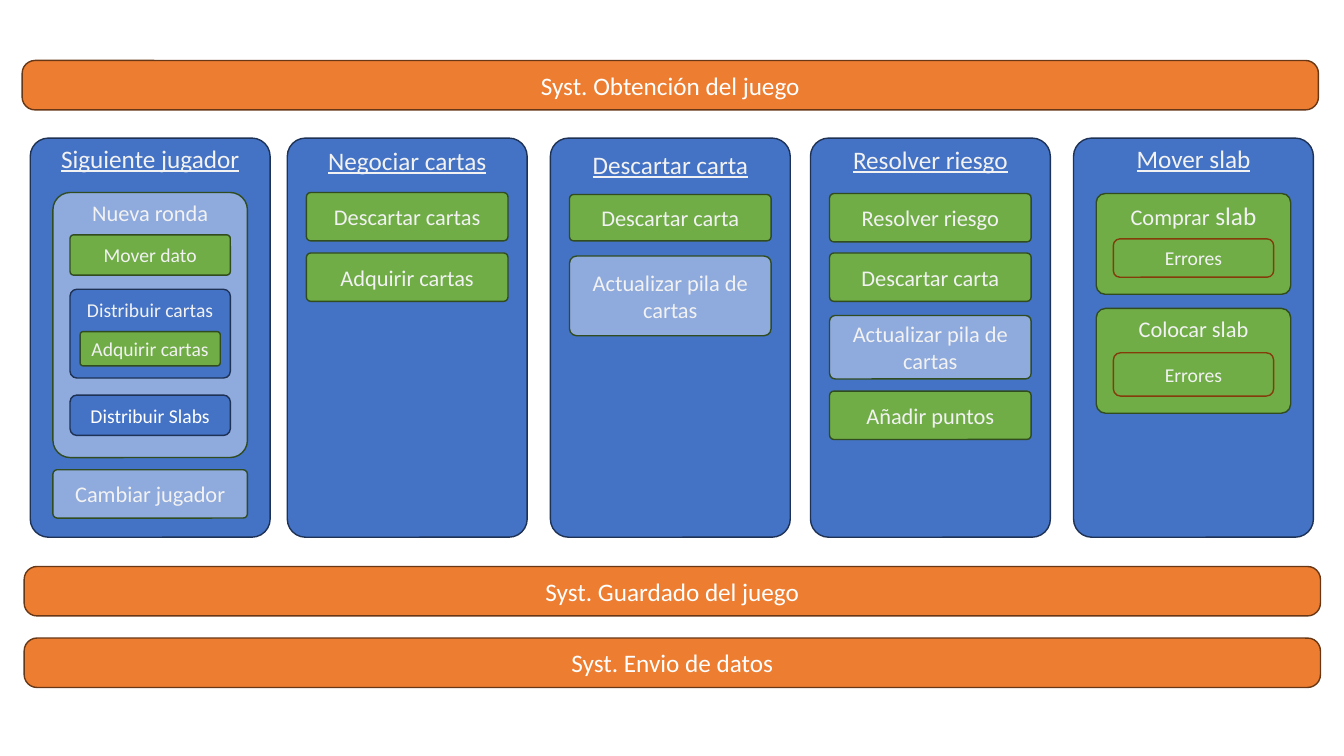
from dataclasses import dataclass

from pptx import Presentation
from pptx.dml.color import RGBColor
from pptx.enum.shapes import MSO_SHAPE
from pptx.enum.text import MSO_ANCHOR, PP_ALIGN
from pptx.util import Inches, Pt

# The grid has cells of a tenth of an inch: 133.33 columns by 75 rows.
COLUMNS, ROWS = 133.33, 75
CELL = Inches(0.1)
FONT = "Calibri"
WHITE, PALE = "FFFFFF", "F2F2F2"

# Role: fill, line, corner rounding
STYLES = {
    "system": ("ED7D31", "683715", 0.26),
    "panel": ("4472C4", "1E3256", 0.076),
    "step": ("4472C4", "1E3256", 0.167),
    "action": ("70AD47", "314C1F", 0.089),
    "update": ("8FAADC", "314C1F", 0.089),
    "errors": ("70AD47", "843C0B", 0.167),
}


@dataclass
class Box:
    """A rectangle in grid cells."""
    left: float
    top: float
    width: float
    height: float

    def inner(self, top, width, height):
        """Return a horizontally centred box, top cells below this one's top."""
        return Box(self.left + (self.width - width) / 2, self.top + top, width, height)

    def place(self):
        """Return left, top, width and height as slide lengths."""
        return [round(cells * CELL) for cells in (self.left, self.top, self.width, self.height)]


def color(hex_string):
    """Turn a hex string into a colour."""
    return RGBColor.from_string(hex_string)


def format_run(run, size, ink=PALE, underline=None):
    """Set the font of one run."""
    run.font.name, run.font.size = FONT, Pt(size)
    run.font.underline = underline
    run.font.color.rgb = color(ink)


def write(frame, text, size, ink=PALE, underline=None):
    """Put one centred paragraph in a text frame and return it."""
    frame.word_wrap = True
    frame.text = text
    paragraph = frame.paragraphs[0]
    paragraph.alignment = PP_ALIGN.CENTER
    format_run(paragraph.runs[0], size, ink, underline)
    return paragraph


def card(slide, box, role, text="", size=16, ink=PALE):
    """Draw a rounded card in the style of its role and return its box."""
    fill, line, rounding = STYLES[role]
    shape = slide.shapes.add_shape(MSO_SHAPE.ROUNDED_RECTANGLE, *box.place())
    shape.adjustments[0] = rounding
    shape.shadow.inherit = False
    shape.fill.solid()
    shape.fill.fore_color.rgb = color(fill)
    shape.line.color.rgb = color(line)
    shape.line.width = Pt(1)
    if text:
        shape.text_frame.vertical_anchor = MSO_ANCHOR.MIDDLE
        write(shape.text_frame, text, size, ink)
    return box


def caption(slide, box, text, size, underline=None):
    """Write a caption at the top of a box and return its paragraph."""
    frame = slide.shapes.add_textbox(*box.place()).text_frame
    frame.vertical_anchor = MSO_ANCHOR.TOP
    return write(frame, text, size, underline=underline)


def panel(slide, box, heading, heading_top):
    """Draw a column panel with its underlined heading."""
    card(slide, box, "panel")
    caption(slide, box.inner(heading_top, box.width, 4), heading, 18, underline=True)


def next_player_panel(slide, box):
    """Draw the turn-change panel with its nested round."""
    panel(slide, box, "Siguiente jugador", 0)
    new_round = card(slide, box.inner(5.4, 19.3, 26.3), "update")
    caption(slide, new_round.inner(0.2, 16.3, 3.7), "Nueva ronda", 16)
    card(slide, new_round.inner(4.2, 15.9, 4), "action", "Mover dato", 14)
    dealing = card(slide, new_round.inner(9.6, 15.9, 8.8), "panel")
    caption(slide, dealing.inner(0.4, 16.3, 3.4), "Distribuir cartas", 14)
    card(slide, dealing.inner(4.2, 13.9, 3.4), "action", "Adquirir cartas", 14)
    card(slide, new_round.inner(20.1, 15.9, 4), "step", "Distribuir Slabs", 14, WHITE)
    card(slide, box.inner(32.9, 19.3, 4.8), "update", "Cambiar jugador")


def card_panel(slide, box, heading, heading_top, cards):
    """Draw a panel holding a plain stack of cards."""
    panel(slide, box, heading, heading_top)
    for top, height, role, text in cards:
        card(slide, box.inner(top, 20, height), role, text)


def slab_panel(slide, box):
    """Draw the slab panel, whose actions each hold an error card."""
    panel(slide, box, "Mover slab", 0)
    buying = slab_action(slide, box.inner(5.5, 19.3, 10), "Comprar", 4.5, 3.8)
    format_run(buying.add_run(), 18)
    buying.runs[-1].text = " slab"
    slab_action(slide, box.inner(16.9, 19.3, 10.4), "Colocar slab", 4.4, 4.3)


def slab_action(slide, box, text, errors_top, errors_height):
    """Draw one slab action with its errors and return its caption."""
    card(slide, box, "action")
    card(slide, box.inner(errors_top, 15.9, errors_height), "errors", "Errores", 14)
    return caption(slide, box.inner(0.2, 16.3, 4), text, 16)


def system_bars(slide, bars):
    """Draw the full-width system bars."""
    for left, top, text in bars:
        card(slide, Box(left, top, 128.6, 4.9), "system", text, 18, WHITE)


CARD_PANELS = [
    ("Negociar cartas", 0.2, [
        (5.4, 4.8, "action", "Descartar cartas"),
        (11.4, 4.8, "action", "Adquirir cartas")]),
    ("Descartar carta", 0.6, [
        (5.6, 4.6, "action", "Descartar carta"),
        (11.7, 7.9, "update", "Actualizar pila de cartas")]),
    ("Resolver riesgo", 0.1, [
        (5.5, 4.8, "action", "Resolver riesgo"),
        (11.4, 4.8, "action", "Descartar carta"),
        (17.6, 6.3, "update", "Actualizar pila de cartas"),
        (25.1, 4.8, "action", "Añadir puntos")]),
]

presentation = Presentation()
presentation.slide_width = round(COLUMNS * CELL)
presentation.slide_height = ROWS * CELL
game_slide = presentation.slides.add_slide(presentation.slide_layouts[6])

system_bars(game_slide, [
    (2.2, 6, "Syst. Obtención del juego"),
    (2.4, 56.2, "Syst. Guardado del juego"),
    (2.4, 63.3, "Syst. Envio de datos"),
])
first, *middle, last = [Box(left, 13.7, 23.8, 39.6) for left in (3, 28.5, 54.6, 80.4, 106.5)]
next_player_panel(game_slide, first)
for column, contents in zip(middle, CARD_PANELS):
    card_panel(game_slide, column, *contents)
slab_panel(game_slide, last)

presentation.save("out.pptx")
